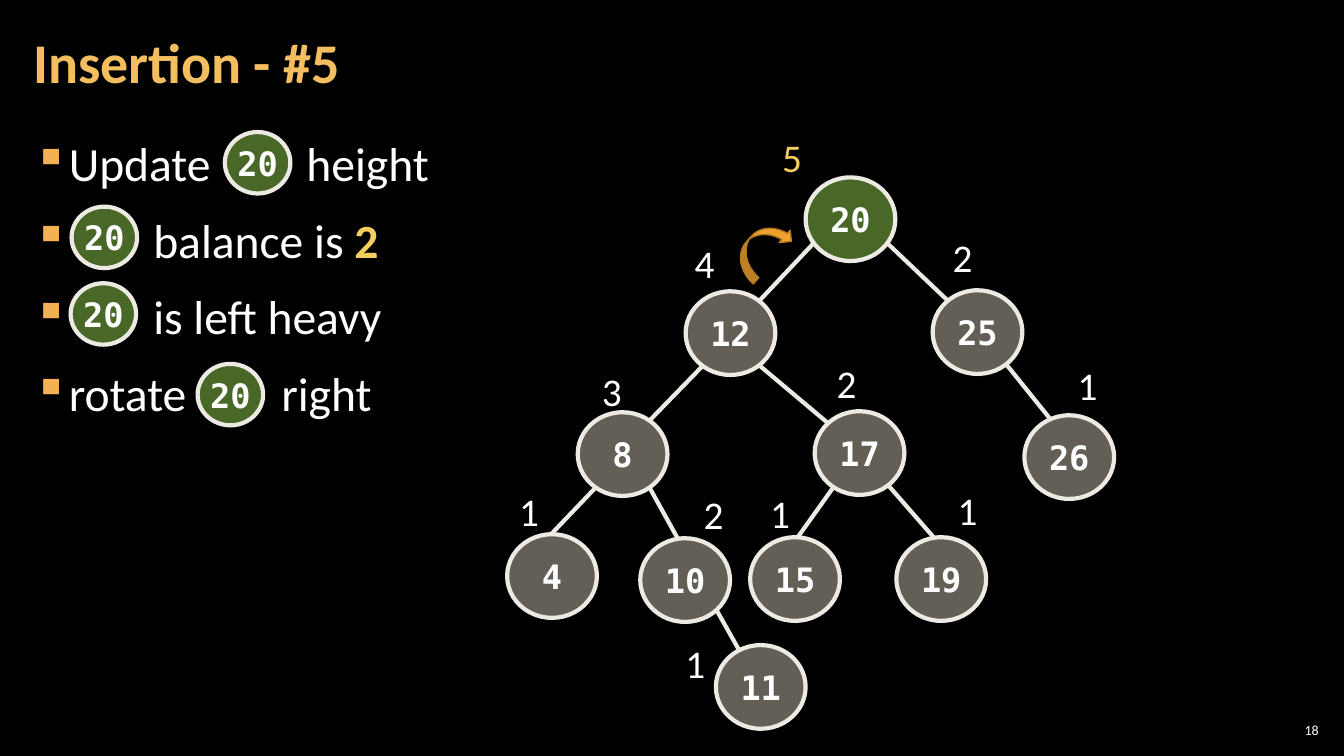
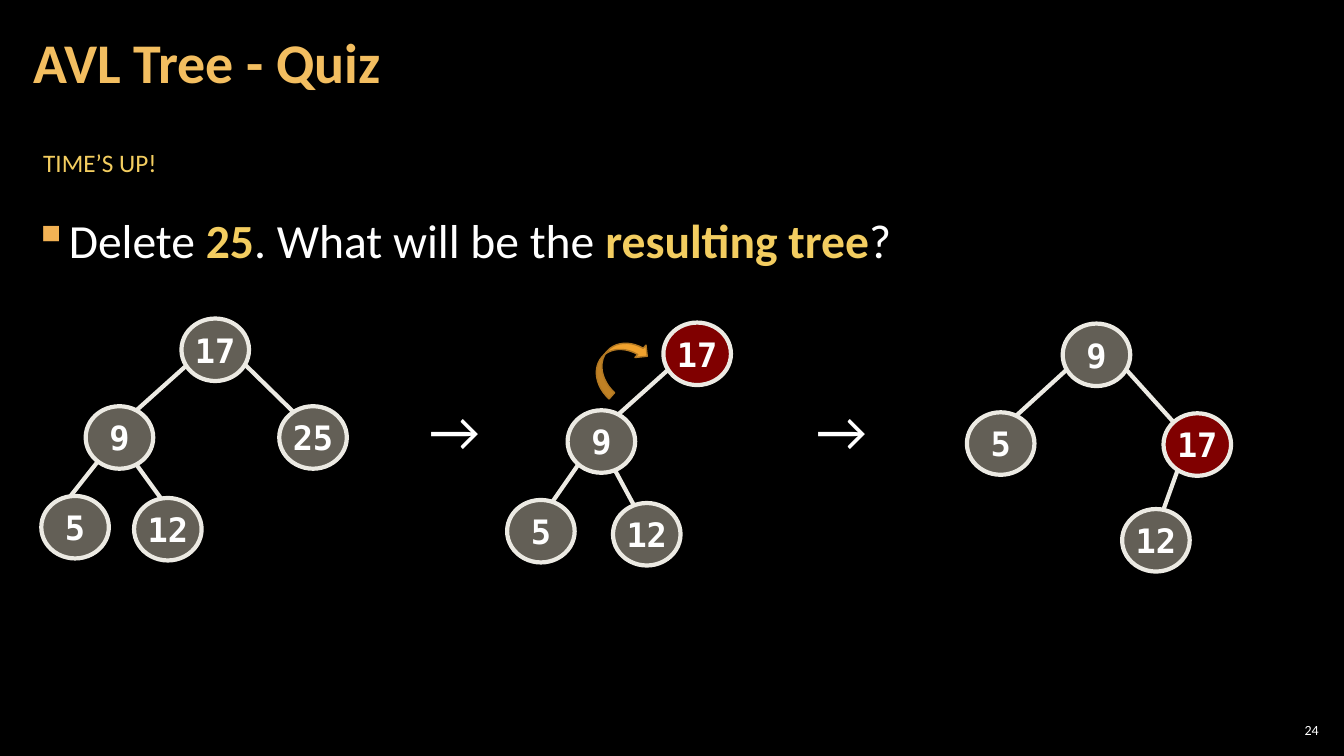
from math import sqrt

from lxml.etree import SubElement
from pptx import Presentation
from pptx.dml.color import RGBColor
from pptx.enum.shapes import MSO_CONNECTOR, MSO_SHAPE
from pptx.enum.text import MSO_ANCHOR, MSO_AUTO_SIZE, PP_ALIGN
from pptx.oxml.ns import qn
from pptx.util import Inches, Pt

BODY_FONT, NODE_FONT = "Calibri", "DejaVu Sans Mono"
BLACK, WHITE, CREAM = "000000", "FFFFFF", "ECEAE3"
TITLE, ACCENT, BULLET = "F3BE60", "F3CD60", "F2B254"
GREY, GREEN, RED = "C7BFAC", "92D050", "FF0000"
ARROW, ARROW_EDGE = "F0A22E", "B27822"
BIG_NODE, SMALL_NODE, INLINE_NODE = (0.89, 0.83), (0.67, 0.62), (0.65, 0.61)


def paint(fmt, color):
    if hasattr(fmt, "solid"):
        fmt.solid()
        fmt = fmt.fore_color
    fmt.rgb = RGBColor.from_string(color)


def style(r, size, color, bold=False, font=BODY_FONT):
    r.font.name, r.font.size, r.font.bold = font, Pt(size), bold
    paint(r.font.color, color)


def text(shapes, box, words, size, color=WHITE, bold=False, wrap=True, insets=None, anchor=None):
    tb = shapes.add_textbox(*map(Inches, box))
    tf = tb.text_frame
    tf.word_wrap = wrap
    if insets:
        tf.margin_left = tf.margin_right = Inches(insets[0])
        tf.margin_top = tf.margin_bottom = Inches(insets[1])
    else:
        tf.auto_size = MSO_AUTO_SIZE.SHAPE_TO_FIT_TEXT
    if anchor:
        tf.vertical_anchor = anchor
    p = tf.paragraphs[0]
    p.text = words
    style(p.runs[0], size, color, bold)
    return p


def base_slide(prs, title, number):
    s = prs.slides.add_slide(prs.slide_layouts[6])
    p = text(s.shapes, (0.21, 0.04, 10.47, 1.21), title, 40, TITLE, True,
             insets=(0.12, 0.04), anchor=MSO_ANCHOR.MIDDLE)
    p.line_spacing = 0.9
    p = text(s.shapes, (12.65, 7.14, 0.47, 0.21), number, 10,
             insets=(0.04, 0.04), anchor=MSO_ANCHOR.MIDDLE)
    p.alignment = PP_ALIGN.RIGHT
    return s


def bullets(s, box, items):
    tb = s.shapes.add_textbox(*map(Inches, box))
    tf = tb.text_frame
    tf.word_wrap = True
    tf.margin_left = tf.margin_right = Inches(0.12)
    tf.margin_top = tf.margin_bottom = Inches(0.04)
    for i, (tab, parts) in enumerate(items):
        p = tf.add_paragraph() if i else tf.paragraphs[0]
        p.line_spacing, p.space_before, p.space_after = 1.05, Pt(6), Pt(6)
        pPr = p._p.get_or_add_pPr()
        pPr.set("marL", str(Inches(0.33)))
        pPr.set("indent", str(Inches(-0.33)))
        SubElement(SubElement(pPr, qn("a:buClr")), qn("a:srgbClr"), val=BULLET)
        SubElement(pPr, qn("a:buChar"), char="▪")
        if tab:
            tabs = SubElement(pPr, qn("a:tabLst"))
            SubElement(tabs, qn("a:tab"), pos=str(Inches(tab)), algn="l")
        for words, strong in parts:
            r = p.add_run()
            r.text = words
            style(r, 34, ACCENT if strong else WHITE, strong)


def node(shapes, x, y, size, value, color=GREY):
    sp = shapes.add_shape(MSO_SHAPE.OVAL, *map(Inches, (x, y, *size)))
    sp.shadow.inherit = False
    paint(sp.fill, color)
    rgb = sp.fill._xPr.find(qn("a:solidFill")).find(qn("a:srgbClr"))
    SubElement(rgb, qn("a:alpha"), val="50000")
    paint(sp.line.fill, CREAM)
    sp.line.width = Pt(3)
    tf = sp.text_frame
    tf.word_wrap = False
    tf.vertical_anchor = MSO_ANCHOR.MIDDLE
    p = tf.paragraphs[0]
    p.text = str(value)
    p.alignment = PP_ALIGN.CENTER
    style(p.runs[0], 24, WHITE, True, NODE_FONT)


def rim(x, y, size, across, side):
    w, h = size
    return Inches(x + across * w), Inches(y + h / 2 + side * h * sqrt(across * (1 - across)))


def edge(shapes, start, end):
    c = shapes.add_connector(MSO_CONNECTOR.STRAIGHT, *start, *end)
    paint(c.line.fill, CREAM)
    c.line.width = Pt(3)
    SubElement(c._element.spPr, qn("a:effectLst"))


def tree(shapes, left, top, size, nodes, edges, marked=None, mark=GREY):
    spots = {v: (left + x, top + y) for v, (x, y) in nodes.items()}
    for parent, child, leave, arrive in edges:
        edge(shapes, rim(*spots[parent], size, leave, 1), rim(*spots[child], size, arrive, -1))
    for value, (x, y) in spots.items():
        node(shapes, x, y, size, value, mark if value == marked else GREY)


def heights(s, left, top, labels):
    for value, x, y, color in labels:
        text(s.shapes, (left + x, top + y, 0.42, 0.57), value, 28, color)


def rotation_arrow(shapes, x, y):
    sp = shapes.add_shape(MSO_SHAPE.CURVED_DOWN_ARROW, *map(Inches, (x, y, 0.65, 0.33)))
    sp.rotation = 311.8
    sp.shadow.inherit = False
    paint(sp.fill, ARROW)
    paint(sp.line.fill, ARROW_EDGE)
    sp.line.width = Pt(1)


def insertion_slide(prs):
    s = base_slide(prs, "Insertion - #5", "18")
    bullets(s, (0.21, 1.26, 12.91, 6.09), [
        (2.71, [("Update\theight", False)]),
        (1.19, [("\tbalance is ", False), ("2", True)]),
        (1.19, [("\tis left heavy", False)]),
        (2.46, [("rotate\tright", False)]),
    ])
    for x, y in [(2.23, 1.31), (0.71, 2.05), (0.7, 2.81), (1.96, 3.61)]:
        node(s.shapes, x, y, INLINE_NODE, 20, GREEN)

    left, top = 5, 1.25
    nodes = {
        20: (2.99, 0.51), 12: (1.8, 1.64), 25: (4.25, 1.63),
        8: (0.73, 2.84), 17: (3.08, 2.83), 26: (5.16, 2.87),
        4: (0.03, 4.05), 10: (1.35, 4.09), 15: (2.44, 4.08),
        19: (3.89, 4.08), 11: (2.1, 5.15),
    }
    edges = [
        (20, 12, 0.09, 0.82), (20, 25, 0.91, 0.17), (12, 8, 0.19, 0.8),
        (12, 17, 0.82, 0.15), (25, 26, 0.82, 0.29), (8, 4, 0.2, 0.49),
        (8, 10, 0.8, 0.42), (17, 15, 0.21, 0.53), (17, 19, 0.82, 0.42),
        (10, 11, 0.85, 0.26),
    ]
    tree(s.shapes, left, top, BIG_NODE, nodes, edges, 20, GREEN)
    heights(s, left, top, [
        ("5", 2.66, 0.02, ACCENT), ("4", 1.79, 1.08, WHITE), ("2", 4.35, 1.02, WHITE),
        ("3", 0.87, 2.34, WHITE), ("2", 3.2, 2.27, WHITE), ("1", 5.59, 2.29, WHITE),
        ("1", 0.05, 3.54, WHITE), ("2", 1.88, 3.57, WHITE), ("1", 2.54, 3.56, WHITE),
        ("1", 4.4, 3.53, WHITE), ("1", 1.7, 5.04, WHITE),
    ])
    rotation_arrow(s.shapes, left + 2.24, top + 1.05)


def quiz_slide(prs):
    s = base_slide(prs, "AVL Tree - Quiz", "24")
    text(s.shapes, (0.33, 1.41, 1.34, 0.4), "TIME’S UP!", 18, ACCENT, wrap=False)
    bullets(s, (0.21, 2.02, 12.91, 5.33), [
        (None, [("Delete ", False), ("25", True), (". What will be the ", False),
                ("resulting tree", True), ("?", False)]),
    ])
    for x in (4.16, 8):
        text(s.shapes, (x, 3.87, 0.75, 0.77), "→", 40, wrap=False)

    before = s.shapes.add_group_shape().shapes
    tree(before, 0.41, 3.16, SMALL_NODE,
         {17: (1.39, 0), 9: (0.44, 0.87), 25: (2.36, 0.87), 5: (0, 1.76), 12: (0.92, 1.78)},
         [(17, 9, 0.07, 0.75), (17, 25, 0.94, 0.21), (9, 5, 0.18, 0.43), (9, 12, 0.75, 0.4)])
    rotating = s.shapes.add_group_shape().shapes
    tree(rotating, 5.03, 3.2, SMALL_NODE,
         {17: (1.55, 0), 9: (0.6, 0.87), 5: (0, 1.76), 12: (1.05, 1.79)},
         [(17, 9, 0.07, 0.75), (9, 5, 0.16, 0.67), (9, 12, 0.7, 0.31)], 17, RED)
    rotation_arrow(rotating, 5.81, 3.44)
    after = s.shapes.add_group_shape().shapes
    tree(after, 9.59, 3.21, SMALL_NODE,
         {9: (0.95, 0), 5: (0, 0.88), 17: (1.95, 0.89), 12: (1.54, 1.84)},
         [(9, 5, 0.06, 0.73), (9, 17, 0.94, 0.15), (17, 12, 0.21, 0.61)], 17, RED)


def main():
    prs = Presentation()
    prs.slide_width, prs.slide_height = Inches(13.33), Inches(7.5)
    paint(prs.slide_master.background.fill, BLACK)
    insertion_slide(prs)
    quiz_slide(prs)
    prs.save("out.pptx")


if __name__ == "__main__":
    main()
